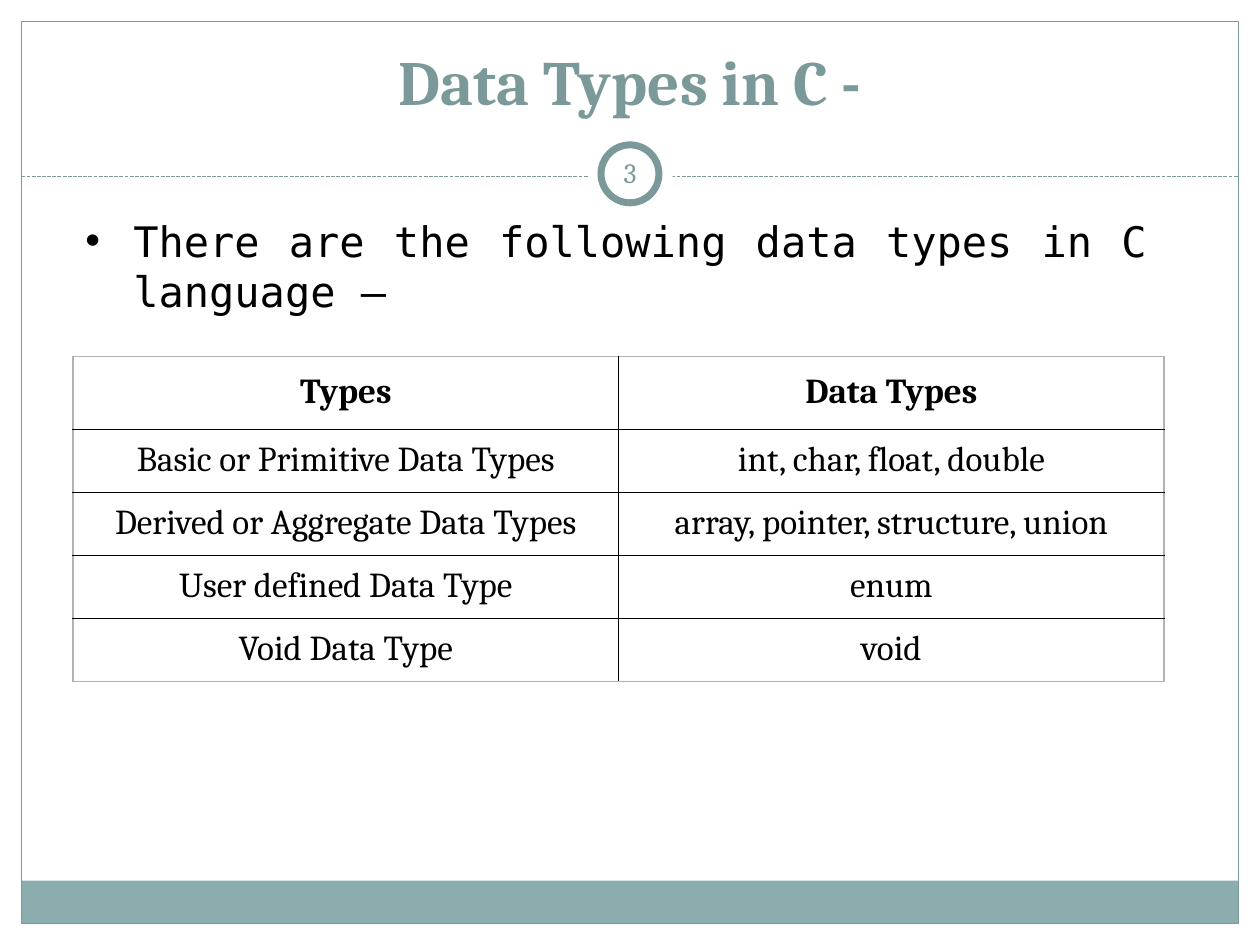
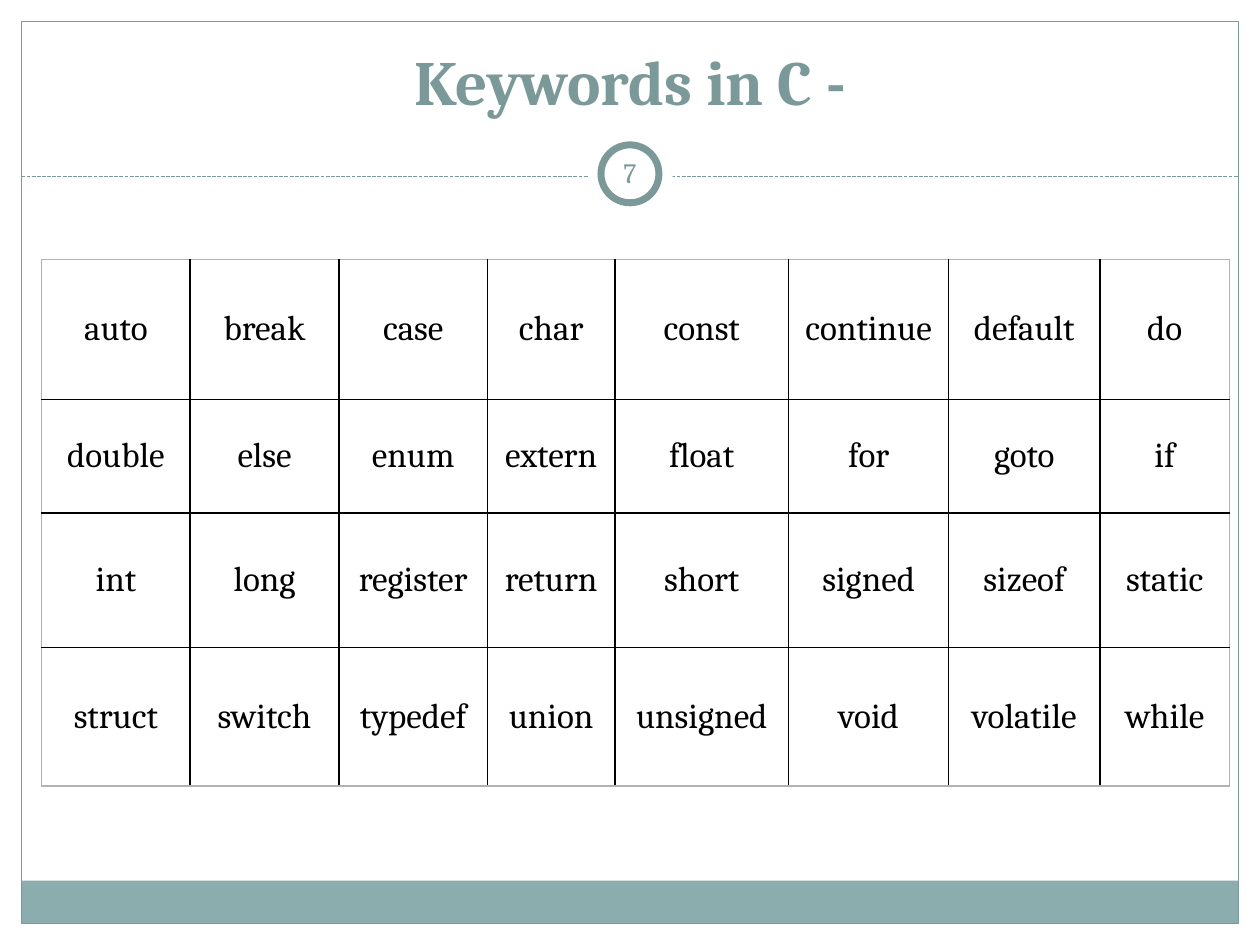
"""Builds two slides on the data types and keywords of the C language."""
import pptx
import pptx.dml.color
import pptx.enum.dml
import pptx.enum.shapes
import pptx.enum.text
import pptx.oxml
import pptx.oxml.ns
import pptx.util
import lxml.etree

Inches, Pt = pptx.util.Inches, pptx.util.Pt
ALIGN, ANCHOR = pptx.enum.text.PP_ALIGN, pptx.enum.text.MSO_ANCHOR
SHAPE = pptx.enum.shapes.MSO_SHAPE
COLORS = {"accent": "7C999A", "band": "8CADAE", "paper": "FFFFFF",
          "ink": "000000", "edge": "B2B2B2"}
RGB = {name: pptx.dml.color.RGBColor.from_string(code) for name, code in COLORS.items()}
BODY_FONT = "Cambria"

FRAME = [
    (SHAPE.RECTANGLE, (0.17, 6.99, 9.66, 0.34), "band", None),
    (SHAPE.RECTANGLE, (0.17, 0.17, 9.66, 7.16), None, 0.75),
    (SHAPE.OVAL, (4.67, 1.05, 0.67, 0.67), "paper", None),
    (SHAPE.OVAL, (4.77, 1.15, 0.46, 0.46), "paper", 4),
]
TITLE = {"name": BODY_FONT, "size": Pt(36), "bold": True}
NUMBER = {"name": BODY_FONT, "size": Pt(16), "bold": False}
INTRO = {"name": "DejaVu Sans Mono", "size": Pt(24), "bold": False}
HEADING = {"name": BODY_FONT, "size": Pt(20), "bold": True}
ENTRY = {**HEADING, "bold": False}

TOPICS = [
    {"title": "Data Types in C -", "number": "3",
     "intro": "There are the following data types in C language –",
     "corner": (0.58, 2.83), "columns": [4.33] * 2, "heights": [0.58] + [0.5] * 4,
     "heading_rows": 1, "anchor": ANCHOR.TOP,
     "rows": [
         ["Types", "Data Types"],
         ["Basic or Primitive Data Types", "int, char, float, double"],
         ["Derived or Aggregate Data Types", "array, pointer, structure, union"],
         ["User defined Data Type", "enum"],
         ["Void Data Type", "void"]]},
    {"title": "Keywords in C -", "number": "7", "intro": None,
     "corner": (0.33, 2.06), "columns": [1.18, 1.18, 1.18, 1.01, 1.38, 1.27, 1.2, 1.03],
     "heights": [1.11, 0.9, 1.07, 1.1], "heading_rows": 0, "anchor": ANCHOR.MIDDLE,
     "rows": [line.split() for line in (
         "auto break case char const continue default do",
         "double else enum extern float for goto if",
         "int long register return short signed sizeof static",
         "struct switch typedef union unsigned void volatile while")]},
]


def write(paragraph, words, style, color, align=ALIGN.CENTER):
    paragraph.alignment = align
    run = paragraph.add_run()
    run.text = words
    for attribute, value in style.items():
        setattr(run.font, attribute, value)
    run.font.color.rgb = RGB[color]


def add_text(slide, place, anchor, inset):
    frame = slide.shapes.add_textbox(*map(Inches, place)).text_frame
    margins = {f"margin_{side}": Inches(inset) for side in ("left", "right")}
    for attribute, value in {"word_wrap": True, "vertical_anchor": anchor, **margins}.items():
        setattr(frame, attribute, value)
    return frame.paragraphs[0]


deck = pptx.Presentation()
deck.slide_width, deck.slide_height = Inches(10), Inches(7.5)

for topic in TOPICS:
    slide = deck.slides.add_slide(deck.slide_layouts[6])

    divider = slide.shapes.add_connector(
        pptx.enum.shapes.MSO_CONNECTOR.STRAIGHT,
        Inches(0.17), Inches(1.4), Inches(9.83), Inches(1.4))
    divider.line.color.rgb = RGB["accent"]
    divider.line.width = Pt(0.75)
    divider.line.dash_style = pptx.enum.dml.MSO_LINE.SQUARE_DOT
    lxml.etree.SubElement(divider._element.spPr, pptx.oxml.ns.qn("a:effectLst"))

    for outline, place, fill, line_width in FRAME:
        part = slide.shapes.add_shape(outline, *map(Inches, place))
        part.shadow.inherit = False
        if fill:
            part.fill.solid()
            part.fill.fore_color.rgb = RGB[fill]
        else:
            part.fill.background()
        if line_width:
            part.line.color.rgb = RGB["accent"]
            part.line.width = Pt(line_width)
        else:
            part.line.fill.background()

    title = add_text(slide, (0.69, 0.4, 8.62, 0.59), ANCHOR.BOTTOM, 0.1)
    write(title, topic["title"], TITLE, "accent")
    number = add_text(slide, (4.75, 1.13, 0.5, 0.48), ANCHOR.MIDDLE, 0.05)
    write(number, topic["number"], NUMBER, "accent")

    if topic["intro"]:
        intro = add_text(slide, (0.58, 1.66, 8.62, 0.9), ANCHOR.TOP, 0.1)
        properties = intro._p.get_or_add_pPr()
        properties.set("marL", str(Inches(0.38)))
        properties.set("indent", str(-Inches(0.38)))
        for tag, key, value in (("a:buFont", "typeface", "Arial"), ("a:buChar", "char", "•")):
            lxml.etree.SubElement(properties, pptx.oxml.ns.qn(tag)).set(key, value)
        write(intro, topic["intro"], INTRO, "ink", ALIGN.JUSTIFY)

    columns, heights = topic["columns"], topic["heights"]
    grid = slide.shapes.add_table(
        len(heights), len(columns), *map(Inches, topic["corner"]),
        Inches(sum(columns)), Inches(sum(heights))).table
    grid.first_row = grid.horz_banding = False
    for column, width in zip(grid.columns, columns):
        column.width = Inches(width)
    for row, height in zip(grid.rows, heights):
        row.height = Inches(height)

    for r, words in enumerate(topic["rows"]):
        heading = r < topic["heading_rows"]
        side, end = (0.09, 0.12) if heading else (0.06, 0.08)
        for c, word in enumerate(words):
            cell = grid.cell(r, c)
            cell_format = {
                "margin_left": Inches(side), "margin_right": Inches(side),
                "margin_top": Inches(end), "margin_bottom": Inches(end),
                "vertical_anchor": topic["anchor"]}
            for attribute, value in cell_format.items():
                setattr(cell, attribute, value)
            write(cell.text_frame.paragraphs[0], word, HEADING if heading else ENTRY, "ink")
            outer_edges = {"L": c == 0, "R": c == len(columns) - 1,
                           "T": r == 0, "B": r == len(heights) - 1}
            for edge, outer in outer_edges.items():
                color = COLORS["edge" if outer else "ink"]
                cell._tc.get_or_add_tcPr().append(pptx.oxml.parse_xml(
                    f'<a:ln{edge} {pptx.oxml.ns.nsdecls("a")} w="{Pt(1)}"><a:solidFill>'
                    f'<a:srgbClr val="{color}"/></a:solidFill></a:ln{edge}>'))
            cell.fill.background()

deck.save("out.pptx")
